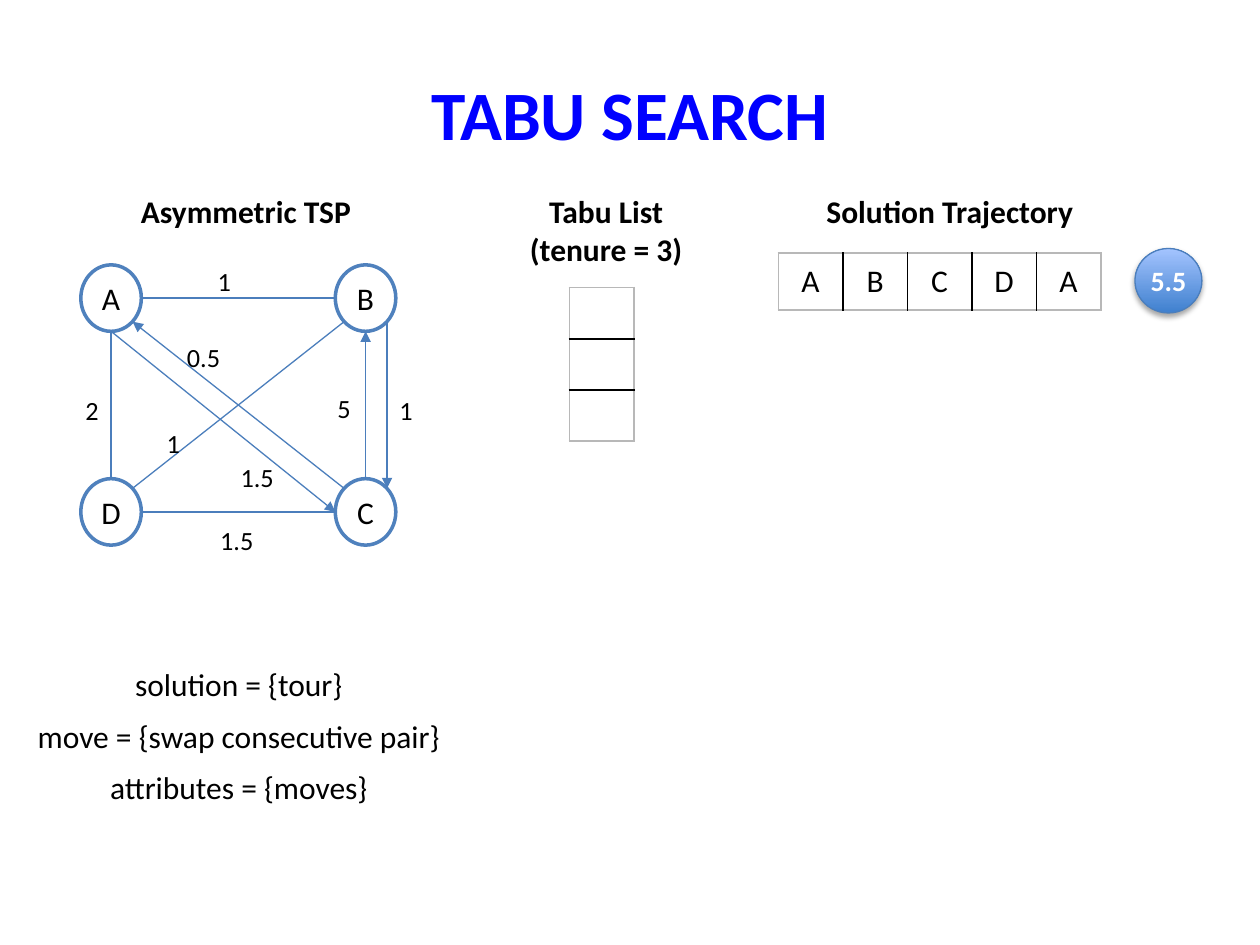
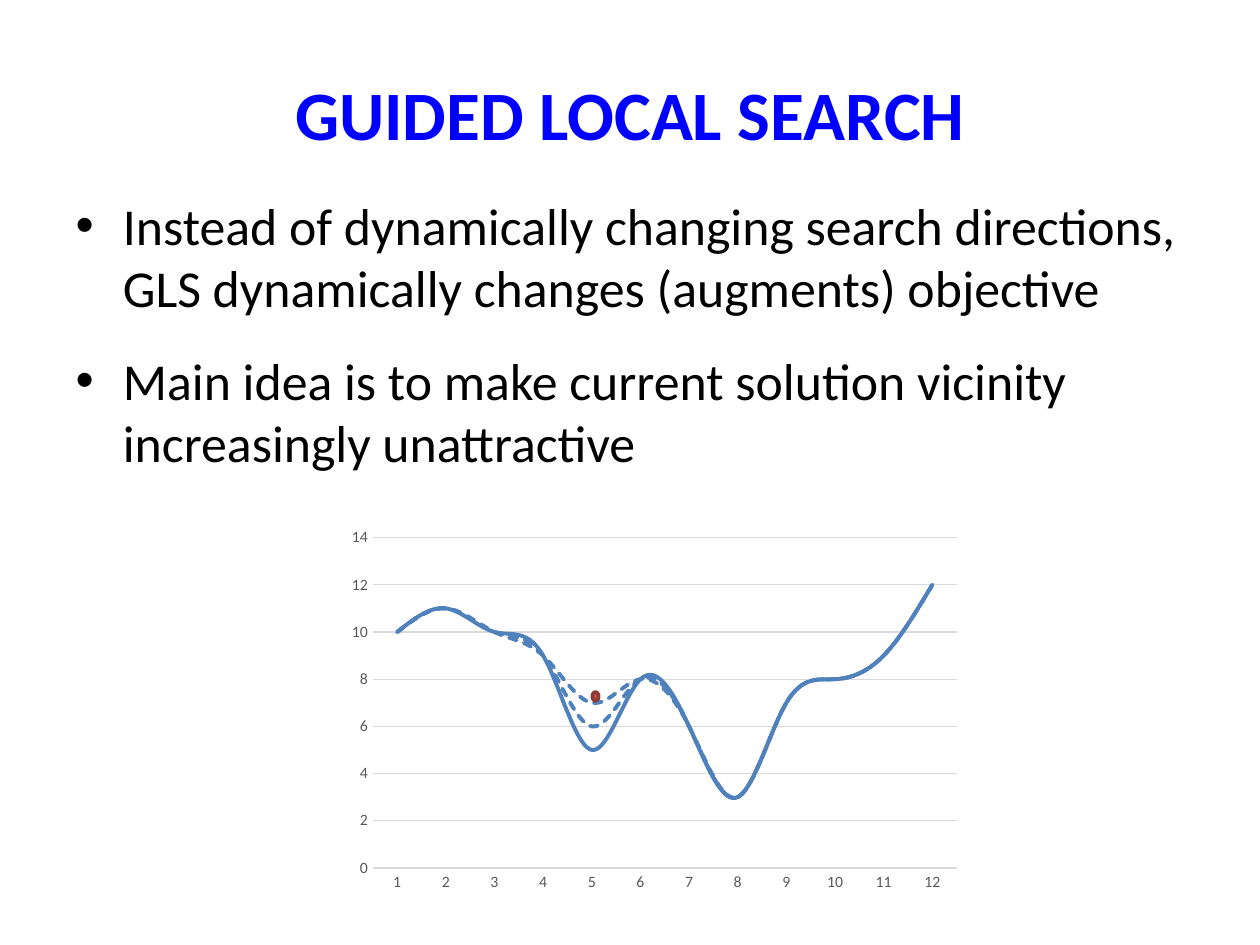
"""Builds two slides on tabu search and guided local search."""
from lxml import etree
from pptx import Presentation
from pptx import util as u
from pptx.chart import data as chart_data
from pptx.dml import color as dml_color
from pptx.enum import chart as chart_enum, dml, shapes, text
from pptx.oxml import ns

FONT = "Calibri"
BLACK, WHITE, TITLE_BLUE = "000000", "FFFFFF", "0000FF"
NODE_BLUE, EDGE_BLUE = "4F81BD", "4B7EBC"
RED, DARK_RED = "C0504D", "8E3B39"
AXIS_GREY, GRID_GREY, FRAME_GREY = "595959", "D9D9D9", "B8B8B8"
CENTER = text.PP_ALIGN.CENTER


def rgb(value):
    return dml_color.RGBColor.from_string(value)


def add_text(frame, lines, size, bold=False, align=None, tone=BLACK):
    for number, line in enumerate(lines):
        para = frame.add_paragraph() if number else frame.paragraphs[0]
        para.text = line
        para.alignment = align
        para.font.name = FONT
        para.font.size = u.Pt(size)
        para.font.bold = bold
        para.font.color.rgb = rgb(tone)


deck = Presentation()
deck.slide_width, deck.slide_height = u.Cm(25.4), u.Cm(19.05)
pages = []
for heading, layout in (("TABU SEARCH", 5), ("GUIDED LOCAL SEARCH", 1)):
    page = deck.slides.add_slide(deck.slide_layouts[layout])
    title = page.shapes.title
    title.left, title.top = u.Cm(1.27), u.Cm(1.28)
    title.width, title.height = u.Cm(22.86), u.Cm(1.99)
    add_text(title.text_frame, [heading], 39.6, True, CENTER, TITLE_BLUE)
    pages.append(page)
tabu_page, guided_page = pages

labels = [
    (2.59, 3.75, 5.13, ["Asymmetric TSP"], 18, True, None),
    (10.38, 3.75, 3.68, ["Tabu List", "(tenure = 3)"], 18, True, CENTER),
    (16.41, 3.75, 5.77, ["Solution Trajectory"], 18, True, None),
]
statements = ["solution = {tour}", "move = {swap consecutive pair}", "attributes = {moves}"]
for row, statement in enumerate(statements):
    labels.append((0.46, 13.29 + 1.03 * row, 8.71, [statement], 18, False, CENTER))

for left, top, cells, cell_height in (
    (15.69, 5.1, [list("ABCDA")], 1.15),
    (11.48, 5.8, [[""], [""], [""]], 1.03),
):
    rows, columns = len(cells), len(cells[0])
    table = tabu_page.shapes.add_table(
        rows, columns, u.Cm(left), u.Cm(top),
        u.Cm(1.3 * columns), u.Cm(cell_height * rows)).table
    table.first_row = table.horz_banding = False
    for row, letters in enumerate(cells):
        for column, letter in enumerate(letters):
            cell = table.cell(row, column)
            cell.vertical_anchor = text.MSO_ANCHOR.MIDDLE
            if letter:
                add_text(cell.text_frame, [letter], 18, align=CENTER)
            outer_sides = {
                "lnL": column == 0, "lnR": column == columns - 1,
                "lnT": row == 0, "lnB": row == rows - 1}
            properties = cell._tc.get_or_add_tcPr()
            for side, outer in outer_sides.items():
                border = etree.SubElement(properties, ns.qn(f"a:{side}"), w=str(u.Pt(1)))
                fill = etree.SubElement(border, ns.qn("a:solidFill"))
                etree.SubElement(fill, ns.qn("a:srgbClr"), val=FRAME_GREY if outer else BLACK)
            cell.fill.background()

cost = tabu_page.shapes.add_shape(
    shapes.MSO_SHAPE.OVAL, u.Cm(22.88), u.Cm(5.01), u.Cm(1.35), u.Cm(1.3))
cost.fill.gradient()
cost.fill.gradient_angle = 90
for stop, tone, position in zip(cost.fill.gradient_stops, ("3F80CE", "A4C4FF"), (0, 1)):
    stop.color.rgb = rgb(tone)
    stop.position = position
cost.line.color.rgb = rgb(EDGE_BLUE)
cost.line.width = u.Pt(0.75)
cost.shadow.inherit = False
shadow = etree.SubElement(
    cost._element.spPr.find(ns.qn("a:effectLst")), ns.qn("a:outerShdw"),
    blurRad=str(u.Pt(3.1)), dist=str(u.Pt(1.8)), dir="5400000", rotWithShape="0")
shade = etree.SubElement(shadow, ns.qn("a:srgbClr"), val=BLACK)
etree.SubElement(shade, ns.qn("a:alpha"), val="35000")
cost.text_frame.word_wrap = False
cost.text_frame.vertical_anchor = text.MSO_ANCHOR.MIDDLE
add_text(cost.text_frame, ["5.5"], 16, True, CENTER, WHITE)

RADIUS_X, RADIUS_Y = 0.61, 0.67
nodes = {"A": (2.24, 6.01), "B": (7.37, 6.01), "D": (2.24, 10.32), "C": (7.37, 10.32)}
for letter, (x, y) in nodes.items():
    node = tabu_page.shapes.add_shape(
        shapes.MSO_SHAPE.OVAL, u.Cm(x - RADIUS_X), u.Cm(y - RADIUS_Y),
        u.Cm(2 * RADIUS_X), u.Cm(2 * RADIUS_Y))
    node.shadow.inherit = False
    node.fill.solid()
    node.fill.fore_color.rgb = rgb(WHITE)
    node.line.color.rgb = rgb(NODE_BLUE)
    node.line.width = u.Pt(2)
    node.text_frame.word_wrap = False
    node.text_frame.vertical_anchor = text.MSO_ANCHOR.MIDDLE
    add_text(node.text_frame, [letter], 18, align=CENTER)

edges = [
    ("A", (0, 1), "C", (-1, 0), True),
    ("C", (-1, -1), "A", (1, 1), True),
    ("A", (0, 1), "D", (0, -1), False),
    ("D", (1, 0), "C", (-1, 0), False),
    ("B", (-1, 1), "D", (1, -1), False),
    ("A", (1, 0), "B", (-1, 0), False),
    ("B", (1, 1), "C", (1, -1), True),
    ("C", (0, -1), "B", (0, 1), True),
]
for start, start_side, end, end_side, directed in edges:
    points = []
    for letter, (dx, dy) in ((start, start_side), (end, end_side)):
        reach = 0.71 if dx and dy else 1
        x, y = nodes[letter]
        points += [u.Cm(x + dx * reach * RADIUS_X), u.Cm(y + dy * reach * RADIUS_Y)]
    edge = tabu_page.shapes.add_connector(shapes.MSO_CONNECTOR.STRAIGHT, *points)
    edge.line.color.rgb = rgb(EDGE_BLUE)
    edge.line.width = u.Pt(0.75)
    if directed:
        etree.SubElement(edge.line._get_or_add_ln(), ns.qn("a:tailEnd"), type="triangle")
    etree.SubElement(edge._element.spPr, ns.qn("a:effectLst"))

for left, top, width, weight in (
    (4.14, 5.23, 0.74, "1"), (3.11, 8.48, 0.74, "1"), (7.8, 7.82, 0.74, "1"),
    (1.47, 7.82, 0.74, "2"), (4.19, 10.44, 1.22, "1.5"), (6.55, 7.79, 0.74, "5"),
    (3.52, 6.76, 1.22, "0.5"), (4.6, 9.17, 1.55, "1.5"),
):
    labels.append((left, top, width, [weight], 15, False, None))

for left, top, width, lines, size, bold, align in labels:
    height = 0.89 if size == 15 else 0.24 + 0.78 * len(lines)
    box = tabu_page.shapes.add_textbox(u.Cm(left), u.Cm(top), u.Cm(width), u.Cm(height))
    box.text_frame.word_wrap = True
    add_text(box.text_frame, lines, size, bold, align)

body = guided_page.placeholders[1]
body.left, body.top, body.width, body.height = u.Cm(1.27), u.Cm(3.77), u.Cm(24.1), u.Cm(6.43)
body.text_frame.auto_size = text.MSO_AUTO_SIZE.NONE
add_text(body.text_frame, [
    "Instead of dynamically changing search directions, "
    "GLS dynamically changes (augments) objective",
    "Main idea is to make current solution vicinity increasingly unattractive",
], 29.6)
for para, gap in zip(body.text_frame.paragraphs, (0, 17.8)):
    para.space_before = u.Pt(gap)

landscape = chart_data.CategoryChartData()
landscape.categories = [str(number) for number in range(1, 13)]
for number, valley in enumerate((5, 6, 7), 1):
    landscape.add_series(f"Series {number}", [10, 11, 10, 9, valley, 8, 6, 3, 7, 8, 9, 12])
chart = guided_page.shapes.add_chart(
    chart_enum.XL_CHART_TYPE.LINE, u.Cm(6.84), u.Cm(10.5),
    u.Cm(12.7), u.Cm(7.62), landscape).chart
chart.has_legend = chart.has_title = False
chart.font.name, chart.font.size = FONT, u.Pt(10)
chart.font.color.rgb = rgb(BLACK)
chart.plots[0].vary_by_categories = False
for series in chart.plots[0].series:
    series.smooth = True
    series.format.line.color.rgb = rgb(NODE_BLUE)
    series.format.line.width = u.Pt(2.25)
    series.format.line._get_or_add_ln().set("cap", "rnd")
    if series.name != "Series 1":
        series.format.line.dash_style = dml.MSO_LINE.SQUARE_DOT
for axis in (chart.category_axis, chart.value_axis):
    axis.major_tick_mark = axis.minor_tick_mark = chart_enum.XL_TICK_MARK.NONE
    axis.tick_labels.font.name = FONT
    axis.tick_labels.font.size = u.Pt(9)
    axis.tick_labels.font.color.rgb = rgb(AXIS_GREY)
values = chart.value_axis
values.minimum_scale, values.maximum_scale, values.major_unit = 0, 14, 2
values.format.line.fill.background()
for rule in (chart.category_axis.format.line, values.major_gridlines.format.line):
    rule.color.rgb = rgb(GRID_GREY)
    rule.width = u.Pt(0.75)

solution = guided_page.shapes.add_shape(
    shapes.MSO_SHAPE.OVAL, u.Cm(11.94), u.Cm(13.95), u.Cm(0.13), u.Cm(0.18))
solution.shadow.inherit = False
solution.fill.solid()
solution.fill.fore_color.rgb = rgb(RED)
solution.line.color.rgb = rgb(DARK_RED)
solution.line.width = u.Pt(2)

deck.save("out.pptx")
